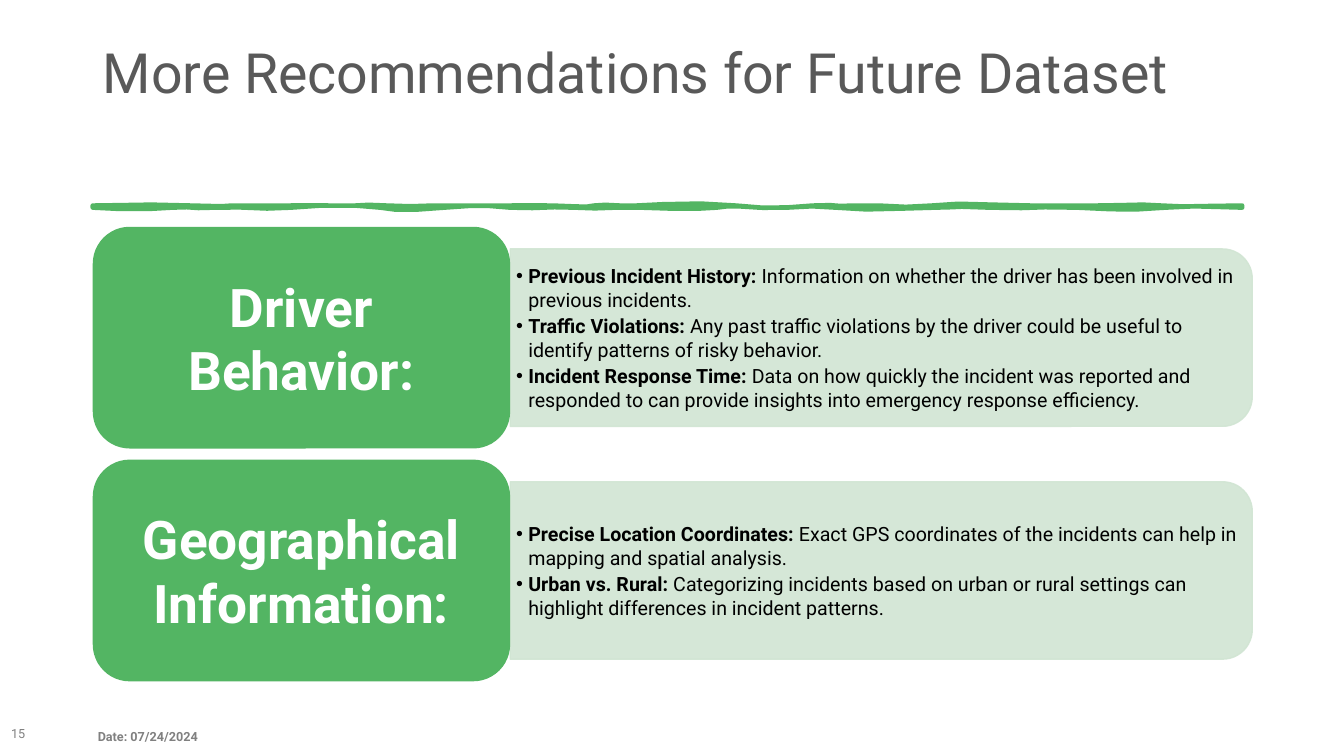
from pptx import Presentation
from pptx.dml.color import RGBColor
from pptx.enum.shapes import MSO_SHAPE
from pptx.enum.text import MSO_ANCHOR, MSO_AUTO_SIZE, PP_ALIGN
from pptx.oxml.ns import qn
from pptx.util import Inches, Pt
from lxml import etree

ROUND, HALF = MSO_SHAPE.ROUNDED_RECTANGLE, MSO_SHAPE.ROUND_2_SAME_RECTANGLE
TOP, MID = MSO_ANCHOR.TOP, MSO_ANCHOR.MIDDLE
LEFT, MIDDLE = PP_ALIGN.LEFT, PP_ALIGN.CENTER
FIXED = MSO_AUTO_SIZE.NONE

GREEN, PALE = "53B563", "D1E5D3"
EDGE = 0.92                      # left margin of the content
HEAD_W, HEAD_H = 4.14, 2.2       # green heading cells
SPLIT = EDGE + HEAD_W            # where headings end and panels begin
PANEL_W, PANEL_H = 7.36, 1.76
LIST_W, LIST_H = 7.29, 1.59
ROW_TOP, PITCH = 2.25, 2.31
HANG = 0.12
RULE_Y, RULE_H = 2.04, 0.02
FINE = 1000                      # outline units per inch

ROWS = [
    ("Driver Behavior:", [
        ("Previous Incident History:",
         " Information on whether the driver has been involved in previous incidents."),
        ("Traffic Violations:",
         " Any past traffic violations by the driver could be useful to identify patterns of risky behavior."),
        ("Incident Response Time:",
         " Data on how quickly the incident was reported and responded to can provide insights into "
         "emergency response efficiency."),
    ]),
    ("Geographical Information:", [
        ("Precise Location Coordinates:",
         " Exact GPS coordinates of the incidents can help in mapping and spatial analysis."),
        ("Urban vs. Rural:",
         " Categorizing incidents based on urban or rural settings can highlight differences in "
         "incident patterns."),
    ]),
]

# Brush strokes: control x and rise (in hundredths), twice, then the end x
UPPER = [
    (1.19, 0, 1.44, -2, 1.9), (2.37, 2, 2.2, -1, 2.44), (2.67, 1, 3.03, -1, 3.31),
    (3.6, 1, 3.59, -2, 3.84), (4.1, 2, 4.23, -1, 4.6), (4.98, 1, 5.14, -1, 5.48),
    (5.81, 1, 5.81, 2, 5.89), (5.98, -2, 6.15, 1, 6.31), (6.47, -1, 7.01, -4, 7.3),
    (7.59, 4, 7.81, 2, 8.06), (8.31, -2, 8.27, 2, 8.48), (8.68, -2, 9.01, 4, 9.24),
    (9.47, -4, 9.82, 0, 10.23), (10.63, 0, 10.63, 0, 10.87),
    (11.12, 0, 11.36, -2, 11.52), (11.68, 2, 12.03, 0, 12.32),
]
LOWER = [
    (12.05, 0, 11.89, -3, 11.56), (11.22, 3, 11.1, 2, 10.68), (10.27, -2, 10.23, 2, 9.81),
    (9.39, -2, 9.52, 0, 9.28), (9.04, 0, 8.51, 4, 8.29), (8.06, -4, 7.82, 2, 7.53),
    (7.24, -2, 7.25, -2, 7.11), (6.98, 2, 6.61, 1, 6.35), (6.09, -1, 5.9, 2, 5.7),
    (5.51, -2, 5.28, 2, 5.06), (4.83, -2, 4.73, -3, 4.41), (4.09, 3, 3.9, 3, 3.77),
    (3.63, -3, 3.1, -3, 2.89), (2.68, 3, 2.35, -2, 2.13), (1.92, 2, 1.89, -2, 1.71),
    (1.54, 2, 1.14, 2, 0.92),
]


def color(code):
    return RGBColor.from_string(code)


def apply(item, values):
    for name, value in values.items():
        setattr(item, name, value)


def place(item, x, y, w, h):
    apply(item, dict(zip(("left", "top", "width", "height"), map(Inches, (x, y, w, h)))))


def frame(shape, side, rim, anchor=MID):
    apply(shape.text_frame, {
        "word_wrap": True, "auto_size": FIXED, "vertical_anchor": anchor,
        "margin_left": Inches(side), "margin_right": Inches(side),
        "margin_top": Inches(rim), "margin_bottom": Inches(rim)})


def write(para, text, size, tint, bold=False):
    run = para.add_run()
    apply(run, {"text": text})
    apply(run.font, {"name": "Roboto", "size": Pt(size), "bold": bold})
    run.font.color.rgb = color(tint)


def paint(shape, fill, width=0):
    shape.shadow.inherit = False
    shape.fill.solid()
    shape.fill.fore_color.rgb = color(fill)
    if width:
        shape.line.color.rgb = color(fill)
        shape.line.width = Pt(width)
    else:
        shape.line.fill.background()


def curve(start, base, parts, steps=3):
    """Turn a chain of cubic curves into points."""
    dots, x = [], start
    for a, rise, b, drop, end in parts:
        for n in range(1, steps + 1):
            t = n / steps
            u = 1 - t
            dots.append((u**3 * x + 3 * u * u * t * a + 3 * u * t * t * b + t**3 * end,
                         base + (3 * u * u * t * rise + 3 * u * t * t * drop) / 100))
        x = end
    return dots


def brush(slide):
    """Draw the uneven rule below the title."""
    end, low = UPPER[-1][-1], RULE_Y + RULE_H
    dots = curve(EDGE, RULE_Y, UPPER) + [(end, low)] + curve(end, low, LOWER)
    pen = slide.shapes.build_freeform(EDGE * FINE, RULE_Y * FINE, scale=Inches(1) / FINE)
    pen.add_line_segments([(x * FINE, y * FINE) for x, y in dots])
    rule = pen.convert_to_shape()
    paint(rule, GREEN, 3.25)
    etree.SubElement(rule.element.spPr.find(qn("a:ln")), qn("a:round"))


def panel(slide, mid):
    """Add a pale panel, turned so that its round corners face right."""
    shape = slide.shapes.add_shape(HALF, 0, 0, 0, 0)
    place(shape, SPLIT + (PANEL_W - PANEL_H) / 2, mid - PANEL_W / 2, PANEL_H, PANEL_W)
    shape.rotation = 90
    paint(shape, PALE, 1)
    for tint in shape.element.spPr.iter(qn("a:srgbClr")):
        etree.SubElement(tint, qn("a:alpha"), val="90000")
    return shape


def points(body, items, mid):
    place(body, SPLIT, mid - LIST_H / 2, LIST_W, LIST_H)
    frame(body, 0.06, 0.03)
    text = body.text_frame
    for n, (lead, rest) in enumerate(items):
        para = text.add_paragraph() if n else text.paragraphs[0]
        apply(para, {"space_before": Pt(0), "space_after": Pt(2), "alignment": LEFT})
        write(para, lead, 14, "000000", True)
        write(para, rest, 14, "000000")
    for props in body.element.iter(qn("a:pPr")):
        props.set("marL", str(Inches(HANG)))
        props.set("indent", str(-Inches(HANG)))


def head(slide, text, top):
    shape = slide.shapes.add_shape(ROUND, 0, 0, 0, 0)
    place(shape, EDGE, top, HEAD_W, HEAD_H)
    paint(shape, GREEN)
    frame(shape, 0.16, 0.08)
    para = shape.text_frame.paragraphs[0]
    para.alignment = MIDDLE
    write(para, text, 38, "FFFFFF", True)


def note(slide, text, x, y, bold=False):
    box = slide.shapes.add_textbox(*map(Inches, (x, y, 3, 0.4)))
    frame(box, 0, 0)
    para = box.text_frame.paragraphs[0]
    para.space_after = Pt(6)
    write(para, text, 9, "808080", bold)


def main():
    deck = Presentation()
    apply(deck, {"slide_width": Inches(13.33), "slide_height": Inches(7.5)})
    slide = deck.slides.add_slide(deck.slide_layouts[3])
    title, *lists = slide.placeholders

    place(title, EDGE, 0.4, 11.5, 1.45)
    frame(title, 0.1, 0.05, TOP)
    para = title.text_frame.paragraphs[0]
    apply(para, {"alignment": LEFT, "line_spacing": 0.9})
    write(para, "More Recommendations for Future Dataset", 39.6, "595959")

    brush(slide)
    note(slide, "15", 0.11, 7.08)
    for n, ((name, items), body) in enumerate(zip(ROWS, lists)):
        top = ROW_TOP + n * PITCH
        mid = top + HEAD_H / 2
        back = panel(slide, mid)
        points(body, items, mid)
        back.element.addnext(body.element)
        head(slide, name, top)
    note(slide, "Date: 07/24/2024", 0.97, 7.11, True)
    deck.save("out.pptx")


if __name__ == "__main__":
    main()
